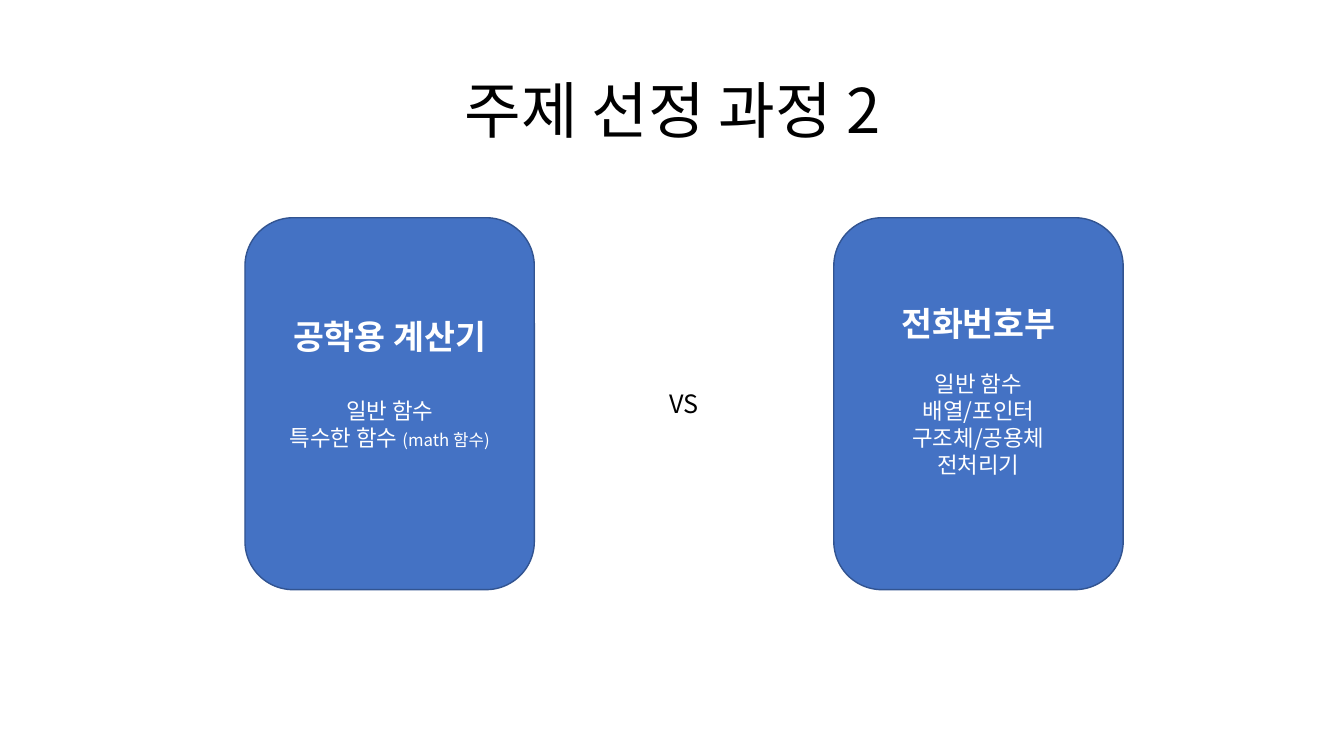
from dataclasses import dataclass

from lxml import etree
from pptx import Presentation
from pptx.dml.color import RGBColor
from pptx.enum import shapes, text
from pptx.oxml import ns
from pptx.util import Inches, Pt

FONT = "Noto Sans CJK KR"
COLORS = {"black": "000000", "white": "FFFFFF", "card": "4472C4", "border": "325491"}
CARD_TOP, CARD_WIDTH, CARD_HEIGHT = 2.16, 2.87, 3.69
HEADING_SIZE, BODY_SIZE, NOTE_SIZE = 24, 16, 12


@dataclass
class Card:
    left: float
    heading: str
    lines: list[str]
    gap: float  # points between heading and lines, and below the lines
    note: str = ""


CARDS = [
    Card(2.43, "공학용 계산기", ["일반 함수", "특수한 함수 "], 29, "(math 함수)"),
    Card(8.27, "전화번호부", ["일반 함수", "배열/포인터", "구조체/공용체", "전처리기"], 19),
]


def add_run(paragraph, content: str, *, size: float, color: str, bold: bool = False) -> None:
    run = paragraph.add_run()
    run.text = content
    run.font.name = FONT
    run.font.size = Pt(size)
    run.font.bold = bold
    run.font.color.rgb = RGBColor.from_string(COLORS[color])
    east_asian = etree.SubElement(run.font._element, ns.qn("a:ea"))
    east_asian.set("typeface", FONT)


def center_frame(shape):
    """Give the shape a wrapping, vertically centred text frame and return it."""
    frame = shape.text_frame
    frame.word_wrap = True
    frame.vertical_anchor = text.MSO_ANCHOR.MIDDLE
    frame.paragraphs[0].alignment = text.PP_ALIGN.CENTER
    return frame


def add_label(slide, content: str, box: tuple[float, ...], *, size: float,
              line_spacing: float = 1.0) -> None:
    frame = center_frame(slide.shapes.add_textbox(*map(Inches, box)))
    frame.paragraphs[0].line_spacing = line_spacing
    add_run(frame.paragraphs[0], content, size=size, color="black")


def add_card(slide, card: Card) -> None:
    shape = slide.shapes.add_shape(
        shapes.MSO_SHAPE.ROUNDED_RECTANGLE,
        *map(Inches, (card.left, CARD_TOP, CARD_WIDTH, CARD_HEIGHT)))
    shape.shadow.inherit = False
    shape.fill.solid()
    shape.fill.fore_color.rgb = RGBColor.from_string(COLORS["card"])
    shape.line.color.rgb = RGBColor.from_string(COLORS["border"])
    shape.line.width = Pt(1)

    frame = center_frame(shape)
    frame.margin_bottom = Inches(0.05) + Pt(card.gap)
    heading = frame.paragraphs[0]
    heading.space_after = Pt(card.gap)
    add_run(heading, card.heading, size=HEADING_SIZE, color="white", bold=True)
    for line in card.lines:
        paragraph = frame.add_paragraph()
        paragraph.alignment = text.PP_ALIGN.CENTER
        add_run(paragraph, line, size=BODY_SIZE, color="white")
    if card.note:
        add_run(paragraph, card.note, size=NOTE_SIZE, color="white")


def main() -> None:
    presentation = Presentation()
    presentation.slide_width = Inches(13.33)
    presentation.slide_height = Inches(7.5)
    slide = presentation.slides.add_slide(presentation.slide_layouts[6])
    add_label(slide, "주제 선정 과정 2", (0.92, 0.4, 11.5, 1.45), size=44, line_spacing=0.9)
    add_label(slide, "VS", (6.02, 3.71, 1.53, 0.59), size=18)
    for card in CARDS:
        add_card(slide, card)
    presentation.save("out.pptx")


if __name__ == "__main__":
    main()
